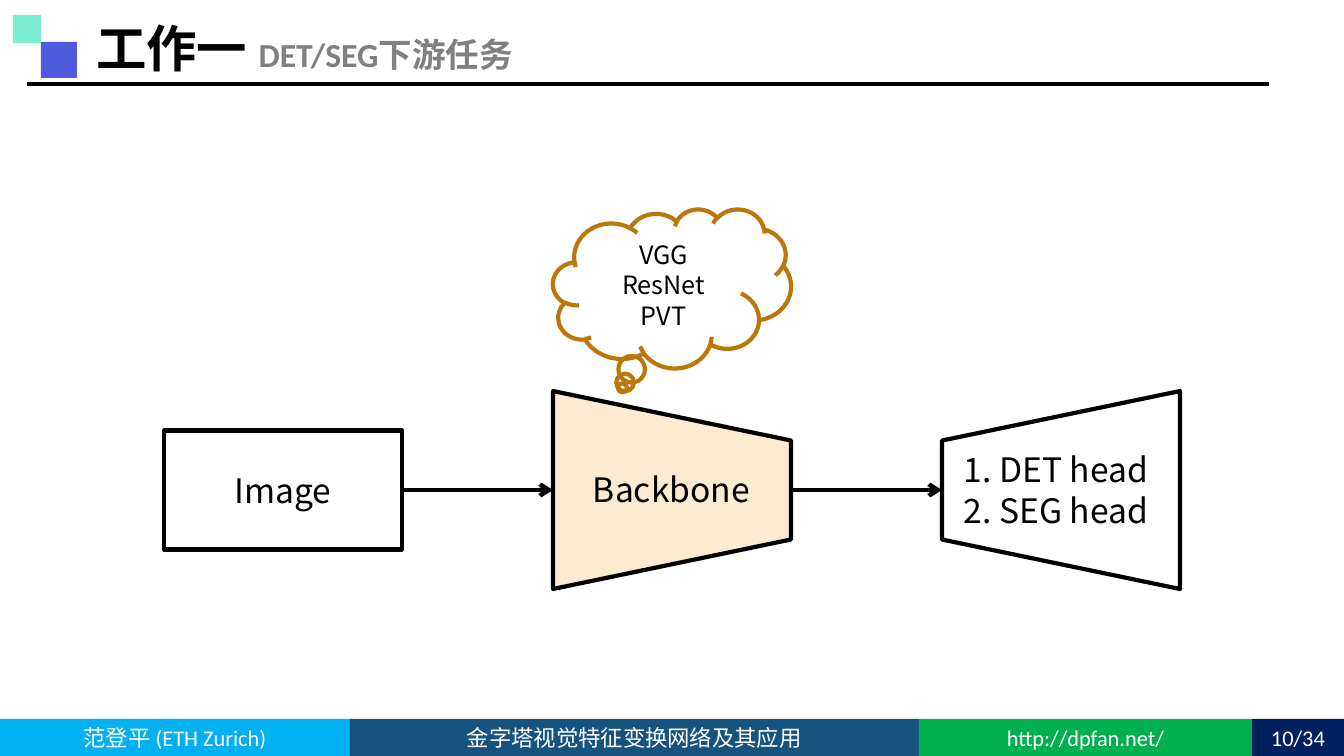
from lxml import etree
from pptx import Presentation
from pptx.dml.color import RGBColor
from pptx.enum.shapes import MSO_CONNECTOR, MSO_SHAPE
from pptx.enum.text import MSO_ANCHOR, PP_ALIGN
from pptx.oxml.ns import qn
from pptx.util import Emu, Pt

LATIN, CJK = "Calibri", "Noto Sans CJK SC"
COLORS = {
    "black": "000000", "white": "FFFFFF", "grey": "808080",
    "sky": "00B0F0", "navy": "16537F", "green": "00B050", "dark": "002060",
    "indigo": "4F5BDF", "mint": "7AECCF", "cream": "FCEBD1", "brown": "BC770B",
}
FOOTER = [
    ("范登平 (ETH Zurich)", 350, "sky"),
    ("金字塔视觉特征变换网络及其应用", 569, "navy"),
    ("http://dpfan.net/", 333, "green"),
    ("10/34", 92, "dark"),
]
TITLE = [("工作一 ", 36, "black"), ("DET/SEG下游任务", 24, "grey")]
LOGO_SQUARES = [(41, 42, 36, "indigo"), (13, 15, 28, "mint")]
RULE = (27, 1269, 84)
IMAGE = ["Image"]
BACKBONE = ["Backbone"]
HEADS = ["1. DET head", "2. SEG head"]
NETWORKS = ["VGG ResNet", "PVT"]

SLIDE_W, SLIDE_H = 1344, 756
FOOTER_H = 37
STAGE_W, ARROW_W, IMAGE_H, TRAPEZOID_H = 238, 151, 119, 198
FLOW_X, FLOW_Y = 164, 490
CLOUD_TOP, CLOUD_H = 209, 159


def px(n):
    return Emu(round(n * 914400 / 100.8))


def rgb(name):
    return RGBColor.from_string(COLORS[name])


def style_run(r, size, color, font, bold=False):
    r.font.size, r.font.name, r.font.bold = Pt(size), font, bold
    r.font.color.rgb = rgb(color)
    ea = etree.SubElement(r.font._element, qn("a:ea"))
    ea.set("typeface", CJK)


def write(sp, lines, size, color="black", font=CJK, align=PP_ALIGN.CENTER, wrap=True):
    tf = sp.text_frame
    tf.text = "\n".join(lines)
    tf.word_wrap = wrap
    tf.vertical_anchor = MSO_ANCHOR.MIDDLE
    for p in tf.paragraphs:
        p.alignment = align
        for r in p.runs:
            style_run(r, size, color, font)


def add_box(s, kind, x, y, w, h, fill=None, line=None):
    sp = s.shapes.add_shape(kind, px(x), px(y), px(w), px(h))
    sp.shadow.inherit = False
    if fill:
        sp.fill.solid()
        sp.fill.fore_color.rgb = rgb(fill)
    else:
        sp.fill.background()
    if line:
        sp.line.color.rgb = rgb(line)
        sp.line.width = Pt(3)
    else:
        sp.line.fill.background()
    return sp


def add_line(s, x1, x2, y, arrow=False):
    c = s.shapes.add_connector(MSO_CONNECTOR.STRAIGHT, px(x1), px(y), px(x2), px(y))
    c.line.color.rgb = rgb("black")
    c.line.width = Pt(3)
    if arrow:
        etree.SubElement(c.line._get_or_add_ln(), qn("a:tailEnd")).set("type", "arrow")
    etree.SubElement(c._element.spPr, qn("a:effectLst"))


def add_trapezoid(s, x, rotation, fill=None):
    left = x + (STAGE_W - TRAPEZOID_H) / 2
    sp = add_box(s, MSO_SHAPE.TRAPEZOID, left, FLOW_Y - STAGE_W / 2,
                 TRAPEZOID_H, STAGE_W, fill, "black")
    sp.rotation = rotation


def add_label(s, x, y, w, h, lines):
    sp = s.shapes.add_textbox(px(x), px(y), px(w), px(h))
    write(sp, lines, 24, align=PP_ALIGN.LEFT, wrap=False)


def add_frame(s):
    x = 0
    for text, w, fill in FOOTER:
        sp = add_box(s, MSO_SHAPE.RECTANGLE, x, SLIDE_H - FOOTER_H, w, FOOTER_H, fill)
        write(sp, [text], 16, "white", LATIN)
        x += w
    add_line(s, *RULE)
    for x, y, side, fill in LOGO_SQUARES:
        add_box(s, MSO_SHAPE.RECTANGLE, x, y, side, side, fill)
    tf = s.shapes.add_textbox(px(66), px(-8), px(477), px(91)).text_frame
    tf.word_wrap = True
    tf.vertical_anchor = MSO_ANCHOR.BOTTOM
    p = tf.paragraphs[0]
    p.alignment = PP_ALIGN.CENTER
    p.line_spacing = 0.9
    for text, size, color in TITLE:
        r = p.add_run()
        r.text = text
        style_run(r, size, color, LATIN, True)


def add_flow(s):
    image_x, backbone_x, head_x = (FLOW_X + i * (STAGE_W + ARROW_W) for i in range(3))
    image = add_box(s, MSO_SHAPE.RECTANGLE, image_x, FLOW_Y - IMAGE_H / 2,
                    STAGE_W, IMAGE_H, "white", "black")
    write(image, IMAGE, 24)
    add_trapezoid(s, backbone_x, 90, "cream")
    add_label(s, 583, 464, 179, 50, BACKBONE)
    add_label(s, 954, 444, 214, 91, HEADS)
    add_trapezoid(s, head_x, 270)
    for x in (image_x, backbone_x):
        add_line(s, x + STAGE_W, x + STAGE_W + ARROW_W, FLOW_Y, True)
    cloud = add_box(s, MSO_SHAPE.CLOUD_CALLOUT, backbone_x, CLOUD_TOP,
                    STAGE_W, CLOUD_H, line="brown")
    write(cloud, NETWORKS, 18)


def main():
    prs = Presentation()
    prs.slide_width, prs.slide_height = px(SLIDE_W), px(SLIDE_H)
    s = prs.slides.add_slide(prs.slide_layouts[6])
    add_frame(s)
    add_flow(s)
    prs.save("out.pptx")


if __name__ == "__main__":
    main()
